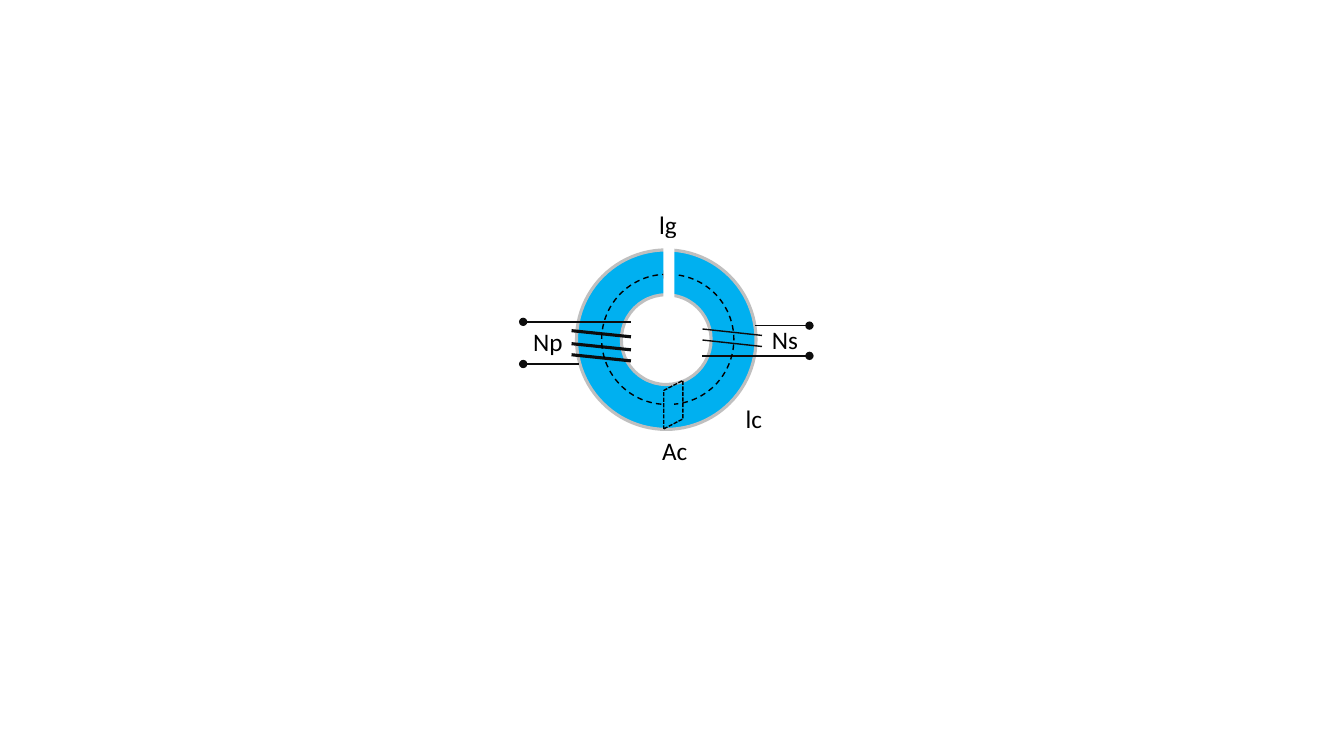
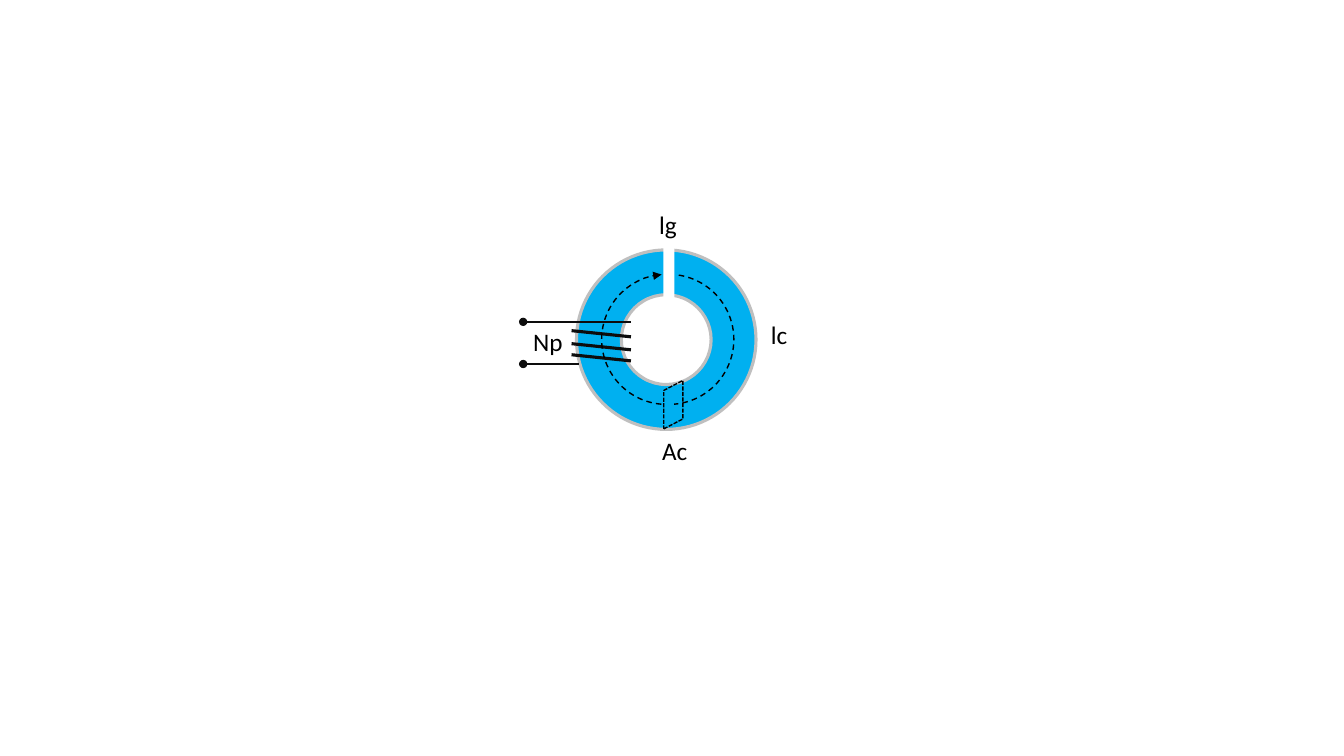
from lxml.etree import SubElement
from pptx import Presentation
from pptx.dml.color import RGBColor
from pptx.enum.dml import MSO_LINE
from pptx.enum.shapes import MSO_CONNECTOR, MSO_SHAPE
from pptx.enum.text import MSO_AUTO_SIZE
from pptx.oxml.ns import qn
from pptx.util import Pt

CORE_BLUE = RGBColor(0x00, 0xB0, 0xF0)
CORE_EDGE = RGBColor(0xBF, 0xBF, 0xBF)
WIRE = RGBColor(0x0D, 0x0D, 0x0D)
BLACK = RGBColor(0x00, 0x00, 0x00)
WHITE = RGBColor(0xFF, 0xFF, 0xFF)
FONT = "Calibri"
BLANK_LAYOUT = 6

# Arc angles are in units of 100000/60000 degrees; half a turn is 108.
HALF_TURN, FULL_TURN = 108, 216
FLUX_START, FLUX_END_RIGHT = 56.81, 156.72


def add_text(slide, text, left, top, width, *, height=29.08, size=18,
             color=BLACK, font=FONT):
    """Add a one-line label that does not wrap."""
    box = slide.shapes.add_textbox(Pt(left), Pt(top), Pt(width), Pt(height))
    frame = box.text_frame
    frame.word_wrap = False
    frame.auto_size = MSO_AUTO_SIZE.SHAPE_TO_FIT_TEXT
    run = frame.paragraphs[0].add_run()
    run.text = text
    run.font.size = Pt(size)
    run.font.name = font
    run.font.color.rgb = color


def add_line_end(line_owner, tag, kind):
    """Put an end mark on a line: a:headEnd or a:tailEnd."""
    SubElement(line_owner.line._get_or_add_ln(), qn(tag)).set("type", kind)


def add_shape(slide, kind, left, top, width, height, *, fill=None,
              line=None, weight=1, dash=None, adjustments=()):
    """Add a preset shape without shadow."""
    shape = slide.shapes.add_shape(kind, Pt(left), Pt(top), Pt(width), Pt(height))
    shape.shadow.inherit = False
    for index, value in enumerate(adjustments):
        shape.adjustments[index] = value
    if fill is None:
        shape.fill.background()
    else:
        shape.fill.solid()
        shape.fill.fore_color.rgb = fill
    if line is None:
        shape.line.fill.background()
    else:
        shape.line.color.rgb = line
        shape.line.width = Pt(weight)
        if dash is not None:
            shape.line.dash_style = dash
    return shape


def add_wire(slide, start, end, weight, terminal=False):
    """Add a straight wire, with a round terminal at its start if wanted."""
    wire = slide.shapes.add_connector(
        MSO_CONNECTOR.STRAIGHT, *(Pt(value) for value in (*start, *end)))
    wire.line.color.rgb = WIRE
    wire.line.width = Pt(weight)
    SubElement(wire._element.spPr, qn("a:effectLst"))
    if terminal:
        add_line_end(wire, "a:headEnd", "oval")


def add_winding(slide, leads, turn_span, turn_tops, drop, lead_weight, turn_weight):
    """Add the leads (outer x, inner x, y) and slanted turns of a winding."""
    for outer, inner, y in leads:
        add_wire(slide, (outer, y), (inner, y), lead_weight, terminal=True)
    left, right = turn_span
    for top in turn_tops:
        add_wire(slide, (left, top), (right, top + drop), turn_weight)


def add_primary(slide):
    """Add the primary winding on the left of the core."""
    add_winding(slide, [(373.7, 450.7, 229.9), (373.7, 413.3, 260)],
                (408.3, 450.7), (236.2, 245.5, 253.4), 4.4, 1.5, 2.25)


def add_secondary(slide):
    """Add the secondary winding on the right of the core."""
    add_winding(slide, [(578.2, 501.8, 254.2), (578.2, 539.3, 232.6)],
                (501.8, 544.3), (235, 242.9), 4.6, 1, 1)


def add_core(slide):
    """Add the ring core."""
    add_shape(slide, MSO_SHAPE.DONUT, 411.8, 178.5, 128.2, 128.2,
              fill=CORE_BLUE, line=CORE_EDGE, weight=2.25)


def add_flux_path(slide, left_end):
    """Add the dashed flux path and the cross-section of the core."""
    dashed = {"line": BLACK, "dash": MSO_LINE.DASH}
    left_arc = add_shape(slide, MSO_SHAPE.ARC, 429.8, 196, 92.9, 92.9,
                         adjustments=(FLUX_START, left_end), **dashed)
    add_line_end(left_arc, "a:tailEnd", "triangle")
    section = add_shape(slide, MSO_SHAPE.PARALLELOGRAM, 463.7, 282.2, 34.6, 13.7,
                        line=BLACK, dash=MSO_LINE.SQUARE_DOT, adjustments=(0.52,))
    section.rotation = 90
    section._element.spPr.xfrm.set("flipH", "1")
    right_angles = (HALF_TURN - FLUX_END_RIGHT + FULL_TURN, HALF_TURN - FLUX_START)
    add_shape(slide, MSO_SHAPE.ARC, 431.3, 196, 92.9, 92.9,
              adjustments=right_angles, **dashed)


def add_air_gap(slide):
    """Add the white bar that cuts the core at its top."""
    add_shape(slide, MSO_SHAPE.RECTANGLE, 473.8, 169.9, 7.9, 48.2, fill=WHITE)


def add_labels(slide, length_label):
    """Add the labels; length_label is the left and top of lc."""
    add_text(slide, "lg", 463.7, 146.2, 27.4)
    add_text(slide, "lc", *length_label, 26.6)
    add_text(slide, "Ac", 465.8, 307.4, 32.4)
    add_text(slide, "Np", 373.7, 229.7, 36)


def build_transformer(slide):
    """Draw the gapped core with two windings."""
    add_core(slide)
    add_primary(slide)
    add_secondary(slide)
    add_flux_path(slide, 164.73)
    add_labels(slide, (525.6, 284.4))
    add_text(slide, "Ns", 544.3, 228.2, 33.1)
    add_air_gap(slide)


def build_inductor(slide):
    """Draw the gapped core with one winding."""
    add_core(slide)
    add_primary(slide)
    add_flux_path(slide, 159.26)
    add_air_gap(slide)
    add_labels(slide, (543.6, 224.6))


def main():
    """Build and save both slides."""
    presentation = Presentation()
    presentation.slide_width = Pt(960)
    presentation.slide_height = Pt(540)
    layout = presentation.slide_layouts[BLANK_LAYOUT]
    for build in (build_transformer, build_inductor):
        build(presentation.slides.add_slide(layout))
    presentation.save("out.pptx")


main()
